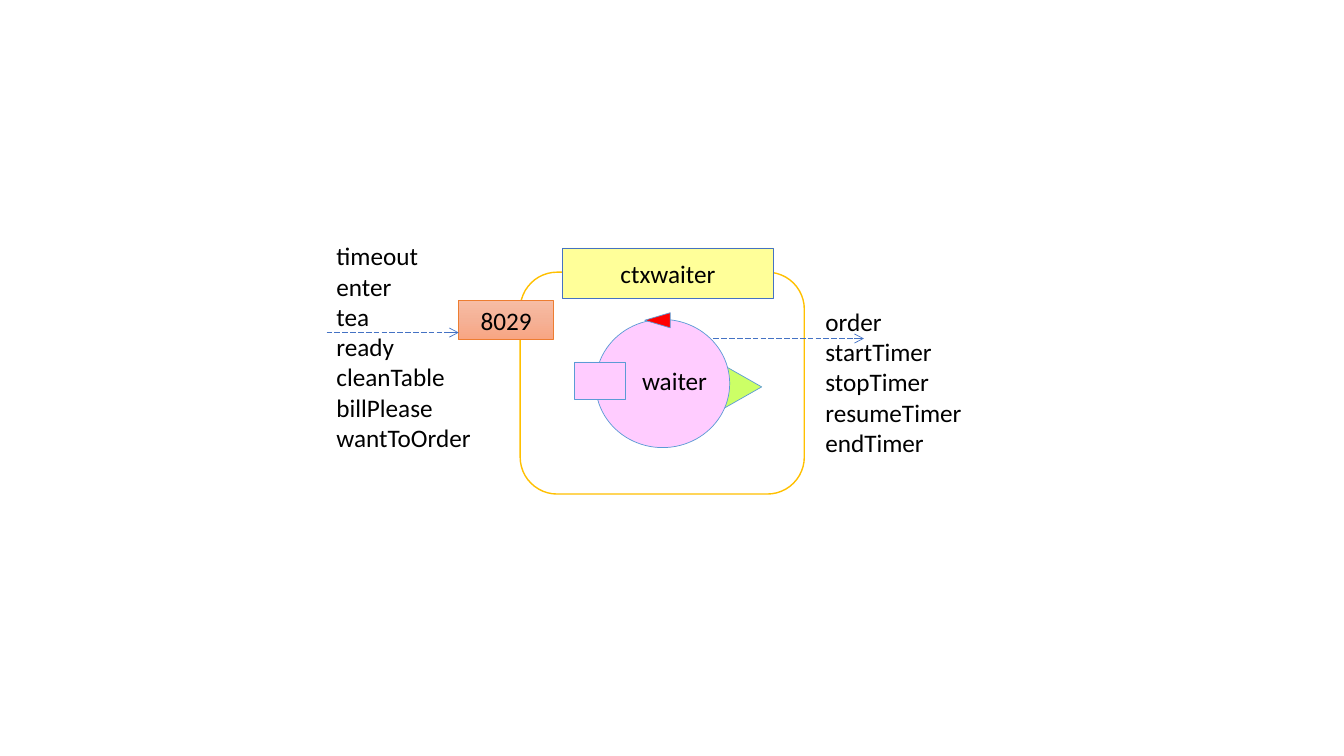
import copy

import pptx
import pptx.dml.color
import pptx.enum.dml
import pptx.enum.shapes
import pptx.enum.text
import pptx.oxml
import pptx.oxml.ns
import pptx.util

Cm = pptx.util.Cm
SHAPE = pptx.enum.shapes.MSO_SHAPE
FONT, TEXT_SIZE = "Calibri", 18
BLUE, ACTOR_LINE, PINK = "4472C4", "5B9BD5", "FFCCFF"
INPUTS = ["timeout", "enter", "tea", "ready", "cleanTable", "billPlease", "wantToOrder"]
OUTPUTS = ["order", "startTimer", "stopTimer", "resumeTimer", "endTimer"]


def rgb(color):
    return pptx.dml.color.RGBColor.from_string(color)


def add_label(paragraph, words):
    run = paragraph.add_run()
    run.text = words
    run.font.name = FONT
    run.font.size = pptx.util.Pt(TEXT_SIZE)
    run.font.color.rgb = rgb("000000")


def add_box(shapes, kind, box, fill, line, width=0.5, words=None, turn=0):
    """Outlined preset shape; a list of fill colours makes a vertical gradient."""
    part = shapes.add_shape(kind, *map(Cm, box))
    part.shadow.inherit = False
    part.rotation = turn
    if isinstance(fill, list):
        fill_gradient(part, fill)
    else:
        part.fill.solid()
        part.fill.fore_color.rgb = rgb(fill)
    part.line.color.rgb = rgb(line)
    part.line.width = pptx.util.Pt(width)
    if words:
        part.text_frame.vertical_anchor = pptx.enum.text.MSO_ANCHOR.MIDDLE
        paragraph = part.text_frame.paragraphs[0]
        paragraph.alignment = pptx.enum.text.PP_ALIGN.CENTER
        add_label(paragraph, words)
    return part


def fill_gradient(part, colors):
    part.fill.gradient()
    part.fill.gradient_angle = 270
    # The default gradient has two stops: add the ones between
    stop_list = part._element.spPr.find(".//" + pptx.oxml.ns.qn("a:gsLst"))
    for _ in colors[2:]:
        stop_list.insert(1, copy.deepcopy(stop_list[0]))
    for index, (stop, color) in enumerate(zip(part.fill.gradient_stops, colors)):
        stop.position = index / (len(colors) - 1)
        stop.color.rgb = rgb(color)


def add_text(shapes, box, lines):
    text = shapes.add_textbox(*map(Cm, box))
    frame = text.text_frame
    frame.word_wrap = False
    frame.auto_size = pptx.enum.text.MSO_AUTO_SIZE.SHAPE_TO_FIT_TEXT
    for index, words in enumerate(lines):
        paragraph = frame.add_paragraph() if index else frame.paragraphs[0]
        add_label(paragraph, words)


def add_message_arrow(shapes, start, end, y):
    arrow = shapes.add_connector(pptx.enum.shapes.MSO_CONNECTOR.STRAIGHT,
                                 Cm(start), Cm(y), Cm(end), Cm(y))
    arrow.line.color.rgb = rgb(BLUE)
    arrow.line.width = pptx.util.Pt(0.5)
    arrow.line.dash_style = pptx.enum.dml.MSO_LINE.LONG_DASH
    head = pptx.oxml.parse_xml(
        f'<a:tailEnd {pptx.oxml.ns.nsdecls("a")} type="arrow"/>')
    arrow.line._get_or_add_ln().append(head)
    arrow._element.spPr.append(
        pptx.oxml.parse_xml(f'<a:effectLst {pptx.oxml.ns.nsdecls("a")}/>'))


def add_waiter(slide):
    actor = slide.shapes.add_group_shape().shapes
    add_box(actor, SHAPE.ISOSCELES_TRIANGLE, (16.59, 8.53, 2.77, 2.44), "CCFF66",
            ACTOR_LINE, turn=90)
    add_box(actor, SHAPE.OVAL, (15.01, 8.05, 3.38, 3.23), PINK, ACTOR_LINE)
    add_box(actor, SHAPE.RECTANGLE, (14.48, 9.12, 1.27, 0.94), PINK, ACTOR_LINE)
    add_box(actor, SHAPE.ISOSCELES_TRIANGLE, (16.38, 7.75, 0.38, 0.64), "FF0000",
            ACTOR_LINE, turn=270)
    add_text(actor, (15.93, 9.09, 2.16, 1.02), ["waiter"])


def main():
    deck = pptx.Presentation()
    deck.slide_width, deck.slide_height = Cm(33.87), Cm(19.05)
    slide = deck.slides.add_slide(deck.slide_layouts.get_by_name("Blank"))
    shapes = slide.shapes

    # Context with its actor and name
    add_box(shapes, SHAPE.ROUNDED_RECTANGLE, (13.11, 6.86, 7.16, 5.59), "FFFFFF",
            "FFC000", width=1)
    add_waiter(slide)
    add_box(shapes, SHAPE.RECTANGLE, (14.17, 6.25, 5.33, 1.27), "FFFF99", BLUE,
            words="ctxwaiter")

    # Messages out and in
    add_message_arrow(shapes, 17.98, 21.77, 8.53)
    add_text(shapes, (8.23, 5.94, 3.94, 5.64), INPUTS)
    add_text(shapes, (20.55, 7.59, 3.99, 4.11), OUTPUTS)

    # Port
    add_box(shapes, SHAPE.RECTANGLE, (11.56, 7.57, 2.39, 0.99),
            ["F7BDA5", "F5B196", "F8A582"], "ED7D31", words="8029")
    add_message_arrow(shapes, 8.23, 11.56, 8.38)

    deck.save("out.pptx")


main()
